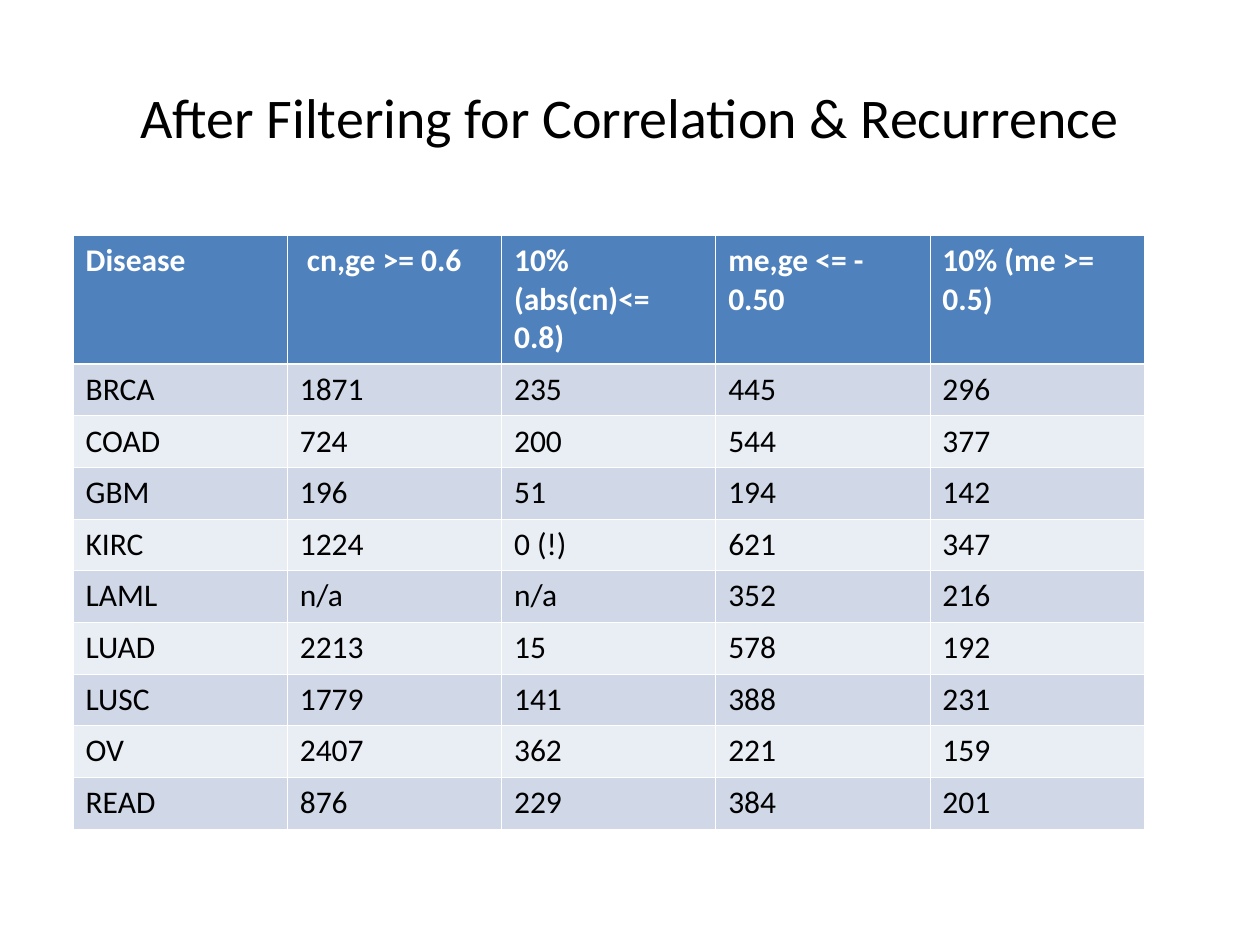
from pptx import Presentation
from pptx.dml.color import RGBColor as RGB
from pptx.enum.text import MSO_ANCHOR as Anchor, PP_ALIGN as Align
from pptx.oxml import parse_xml
from pptx.oxml.ns import nsdecls
from pptx.util import Inches, Pt

WIDE, HIGH = 10, 7.5
BLACK = RGB(0x00, 0x00, 0x00)
WHITE = RGB(0xFF, 0xFF, 0xFF)
BLUE = RGB(0x4F, 0x81, 0xBD)
BANDS = RGB(0xE9, 0xED, 0xF4), RGB(0xD0, 0xD8, 0xE8)

# Table grid
LEFT, TOP = 0.58, 1.87
COL, HEAD, ROW = 1.7, 1.02, 0.41
THIN, THICK = 0.45, 1.47

ROWS = [
    ("Disease", " cn,ge >= 0.6", "10% (abs(cn)<= 0.8)", "me,ge <= - 0.50",
     "10% (me >= 0.5)"),
    ("BRCA", "1871", "235", "445", "296"),
    ("COAD", "724", "200", "544", "377"),
    ("GBM", "196", "51", "194", "142"),
    ("KIRC", "1224", "0 (!)", "621", "347"),
    ("LAML", "n/a", "n/a", "352", "216"),
    ("LUAD", "2213", "15", "578", "192"),
    ("LUSC", "1779", "141", "388", "231"),
    ("OV", "2407", "362", "221", "159"),
    ("READ", "876", "229", "384", "201"),
]


def write(frame, text, size=18, color=BLACK, bold=False, align=Align.LEFT):
    para = frame.paragraphs[0]
    para.alignment = align
    run = para.add_run()
    run.text = text
    font = run.font
    font.name, font.size, font.bold = "Calibri", Pt(size), bold
    font.color.rgb = color


def add_title(slide, text):
    title = slide.shapes.title
    title.left, title.top = Inches(0.05 * WIDE), Inches(0.04 * HIGH)
    title.width, title.height = Inches(0.9 * WIDE), Inches(1.25)
    title.text_frame.vertical_anchor = Anchor.MIDDLE
    write(title.text_frame, text, size=32, align=Align.CENTER)


def set_edges(cell, **widths):
    props = cell._tc.get_or_add_tcPr()
    for side in "LRTB":
        width = Pt(widths.get(side, THIN))
        props.append(parse_xml(
            f'<a:ln{side} {nsdecls("a")} w="{width}"><a:solidFill>'
            f'<a:srgbClr val="{WHITE}"/></a:solidFill></a:ln{side}>'))


def add_grid(slide, rows):
    count, cols = len(rows), len(rows[0])
    table = slide.shapes.add_table(
        count, cols, Inches(LEFT), Inches(TOP), Inches(COL * cols),
        Inches(HEAD + ROW * (count - 1))).table
    for col in table.columns:
        col.width = Inches(COL)
    for r, row in enumerate(rows):
        head = r == 0
        table.rows[r].height = Inches(HEAD if head else ROW)
        for c, text in enumerate(row):
            cell = table.cell(r, c)
            # A thicker rule parts the header from the body
            set_edges(cell, T=THICK if r == 1 else THIN,
                      B=THICK if head else THIN)
            cell.fill.solid()
            cell.fill.fore_color.rgb = BLUE if head else BANDS[r % 2]
            write(cell.text_frame, text, bold=head,
                  color=WHITE if head else BLACK)


def main():
    deck = Presentation()
    deck.slide_width, deck.slide_height = Inches(WIDE), Inches(HIGH)
    slide = deck.slides.add_slide(deck.slide_layouts[5])
    add_title(slide, "After Filtering for Correlation & Recurrence")
    add_grid(slide, ROWS)
    deck.save("out.pptx")


if __name__ == "__main__":
    main()
